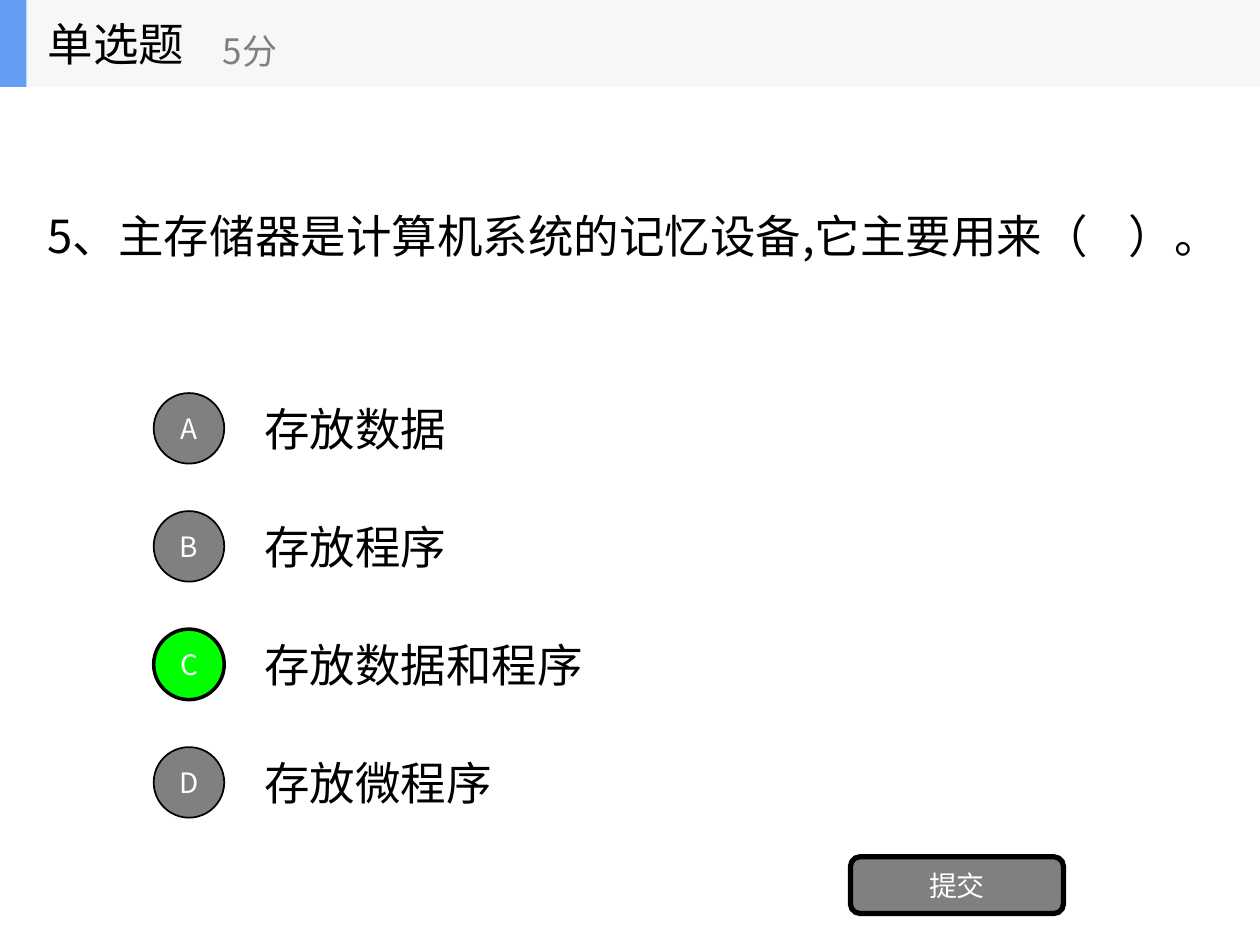
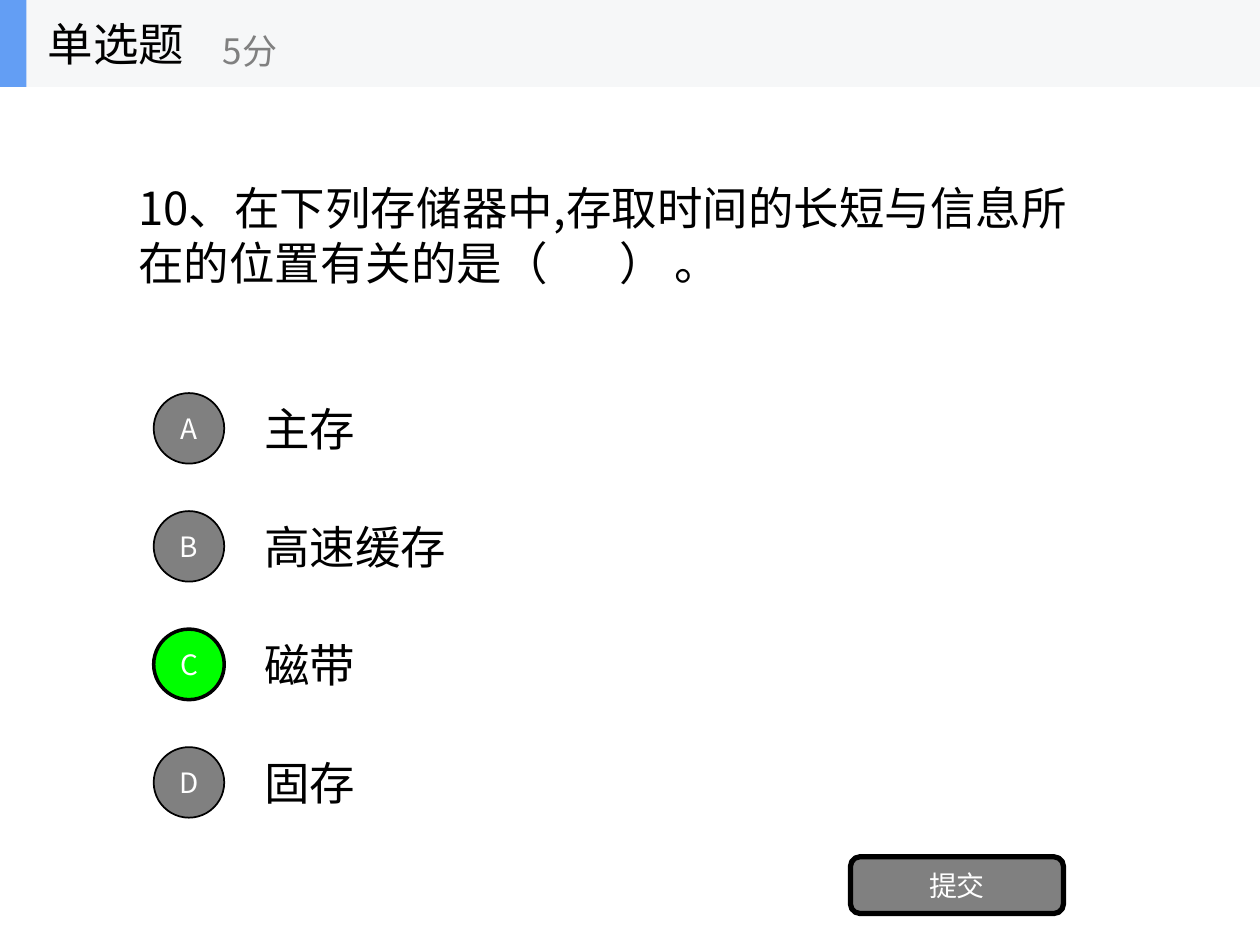
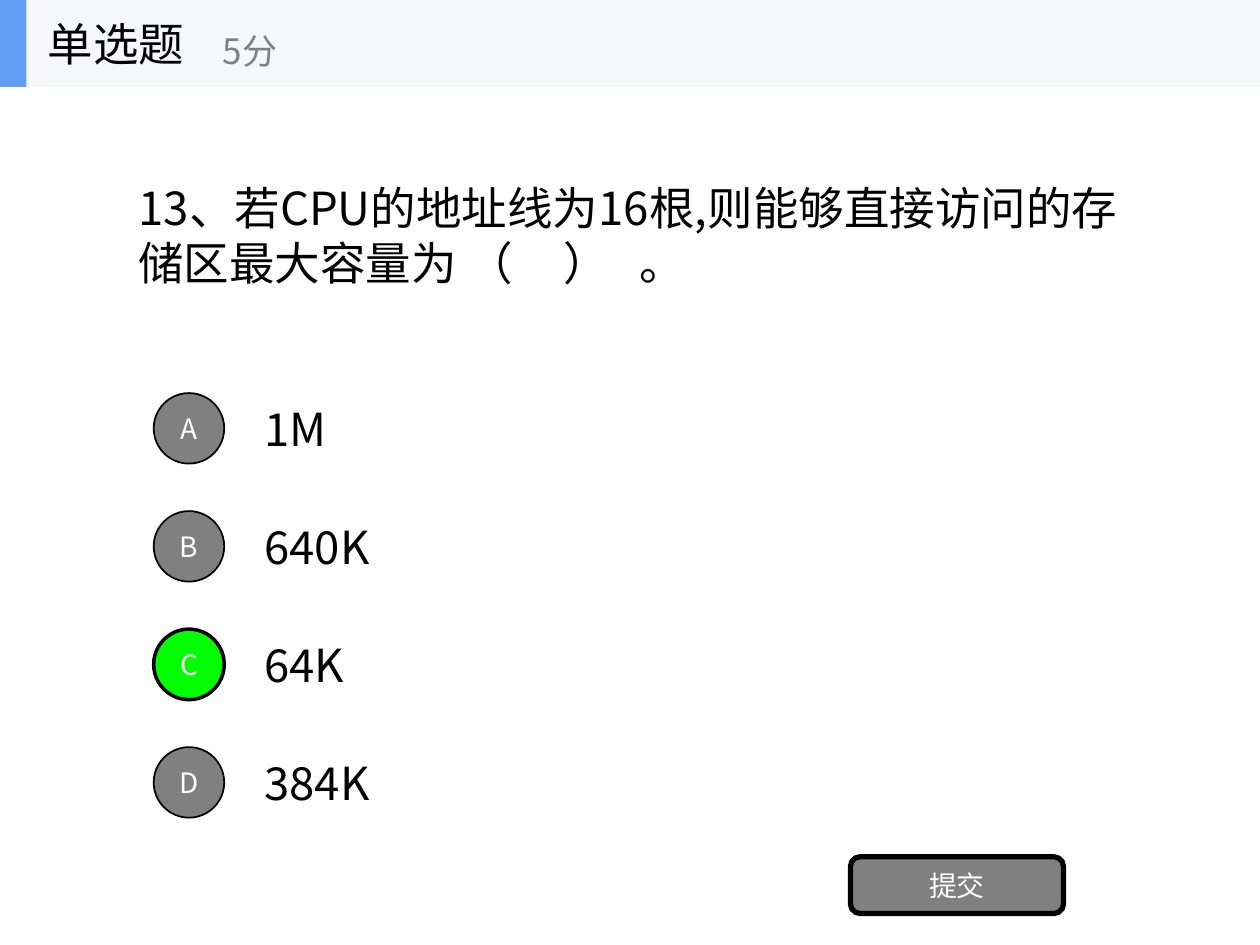
from pptx import Presentation
from pptx.dml.color import RGBColor
from pptx.enum import shapes, text
from pptx.oxml import parse_xml
from pptx.oxml.ns import nsdecls
from pptx.util import Inches, Pt

FONT = "Noto Sans CJK SC"
BLACK, WHITE, GREY = "000000", "FFFFFF", "808080"
GREEN, BLUE, BAND = "00FF00", "639EF4", "F6F7F8"

QUESTIONS = [
    {"text": "5、主存储器是计算机系统的记忆设备,它主要用来（    ）。",
     "box": (0.28, 1.6, 9.58, 0.54), "answer": "C",
     "options": [("存放数据", 1.75), ("存放程序", 1.75),
                 ("存放数据和程序", 2.84), ("存放微程序", 2.11)]},
    {"text": "10、在下列存储器中,存取时间的长短与信息所在的位置有关的是（       ） 。",
     "box": (1, 1.38, 7.87, 0.97), "answer": "C",
     "options": [("主存", 1.03), ("高速缓存", 1.75),
                 ("磁带", 1.03), ("固存", 1.03)]},
    {"text": "13、若CPU的地址线为16根,则能够直接访问的存储区最大容量为 （     ）   。",
     "box": (1, 1.38, 8.25, 0.97), "answer": "C",
     "options": [("1M", 0.87), ("640K", 1.17), ("64K", 0.96), ("384K", 1.17)]},
]

FIRST_TOP, LAST_TOP = 3.12, 5.93
MARK = 0.56


def rgb(value):
    return RGBColor.from_string(value)


def write(sp, words, size=26, color=BLACK, align=text.PP_ALIGN.LEFT, grow=False):
    tf = sp.text_frame
    tf.word_wrap = True
    tf.vertical_anchor = text.MSO_ANCHOR.MIDDLE
    tf.auto_size = (text.MSO_AUTO_SIZE.SHAPE_TO_FIT_TEXT if grow
                    else text.MSO_AUTO_SIZE.NONE)
    p = tf.paragraphs[0]
    p.alignment = align
    r = p.add_run()
    r.text = words
    r.font.size = Pt(size)
    r.font.name = FONT
    r.font.color.rgb = rgb(color)
    latin = r.font._element.find("{*}latin")
    latin.addnext(parse_xml(f'<a:ea {nsdecls("a")} typeface="{FONT}"/>'))


def add_text(s, box, words, **fmt):
    sp = s.shapes.add_textbox(*map(Inches, box))
    write(sp, words, **fmt)


def add_shape(s, kind, box, fill, line=0):
    sp = s.shapes.add_shape(kind, *map(Inches, box))
    sp.shadow.inherit = False
    sp.fill.solid()
    sp.fill.fore_color.rgb = rgb(fill)
    if line:
        sp.line.color.rgb = rgb(BLACK)
        sp.line.width = Pt(line)
    else:
        sp.line.fill.background()
    return sp


def add_button(s, kind, box, words, fill=GREY, line=1):
    sp = add_shape(s, kind, box, fill, line)
    write(sp, words, size=16, color=WHITE, align=text.PP_ALIGN.CENTER)


def add_header(s):
    add_shape(s, shapes.MSO_SHAPE.RECTANGLE, (0, 0, 10, 0.69), BAND)
    accent = add_shape(s, shapes.MSO_SHAPE.RECTANGLE, (0, 0, 0.21, 0.69), BLUE)
    title = s.shapes.title
    title.left, title.top, title.width, title.height = map(
        Inches, (0.28, 0, 2.08, 0.69))
    write(title, "单选题")
    accent._element.addnext(title._element)
    add_text(s, (1.67, 0.12, 2.5, 0.56), "5分", size=20, color=GREY)


def add_options(s, options, answer):
    step = (LAST_TOP - FIRST_TOP) / (len(options) - 1)
    for i, (words, width) in enumerate(options):
        letter = "ABCD"[i]
        top = FIRST_TOP + i * step
        fill, line = (GREEN, 2) if letter == answer else (GREY, 1)
        add_text(s, (2, top + 0.01, width, 0.54), words, grow=True)
        add_button(s, shapes.MSO_SHAPE.OVAL, (1.22, top, MARK, MARK),
                   letter, fill, line)


def main():
    prs = Presentation()
    prs.slide_width, prs.slide_height = Inches(10), Inches(7.5)
    for question in QUESTIONS:
        s = prs.slides.add_slide(prs.slide_layouts[5])
        add_text(s, question["box"], question["text"], grow=True)
        add_options(s, question["options"], question["answer"])
        add_button(s, shapes.MSO_SHAPE.ROUNDED_RECTANGLE,
                   (6.75, 6.8, 1.69, 0.45), "提交", line=3)
        add_header(s)
    prs.save("out.pptx")


if __name__ == "__main__":
    main()
